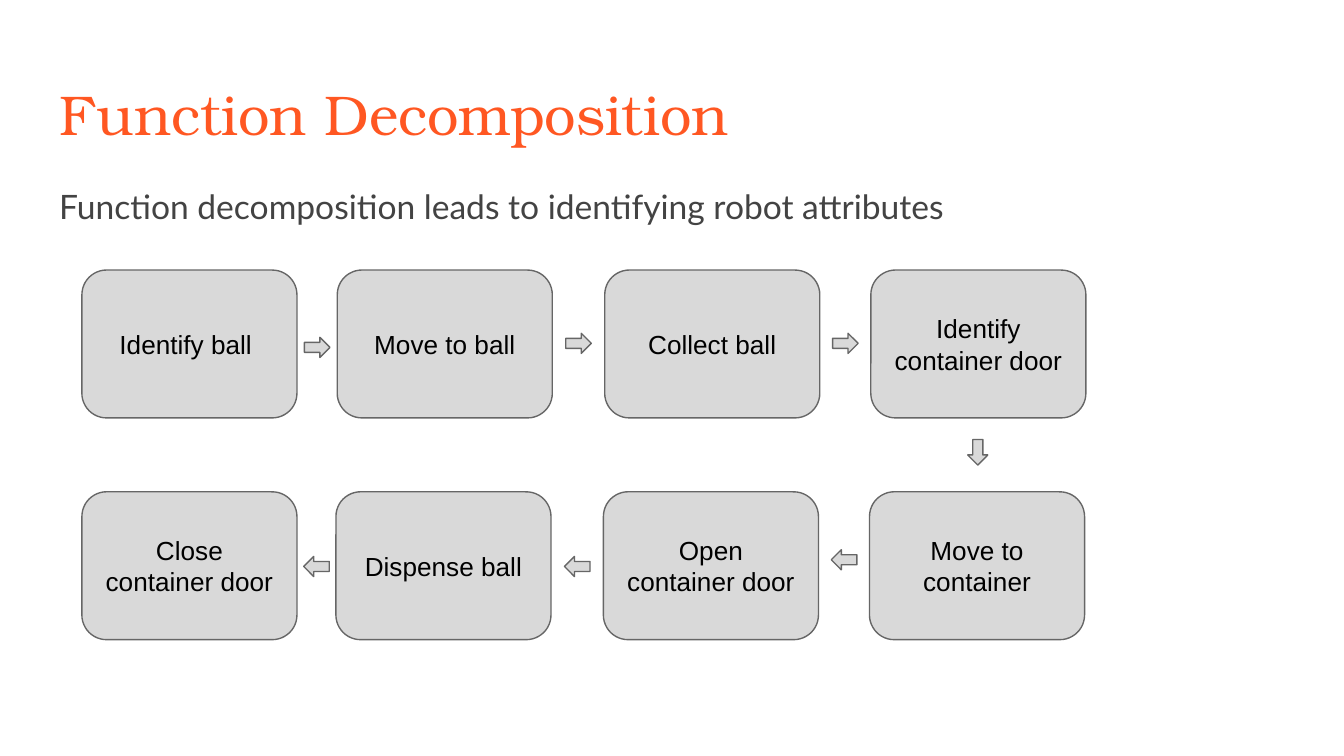
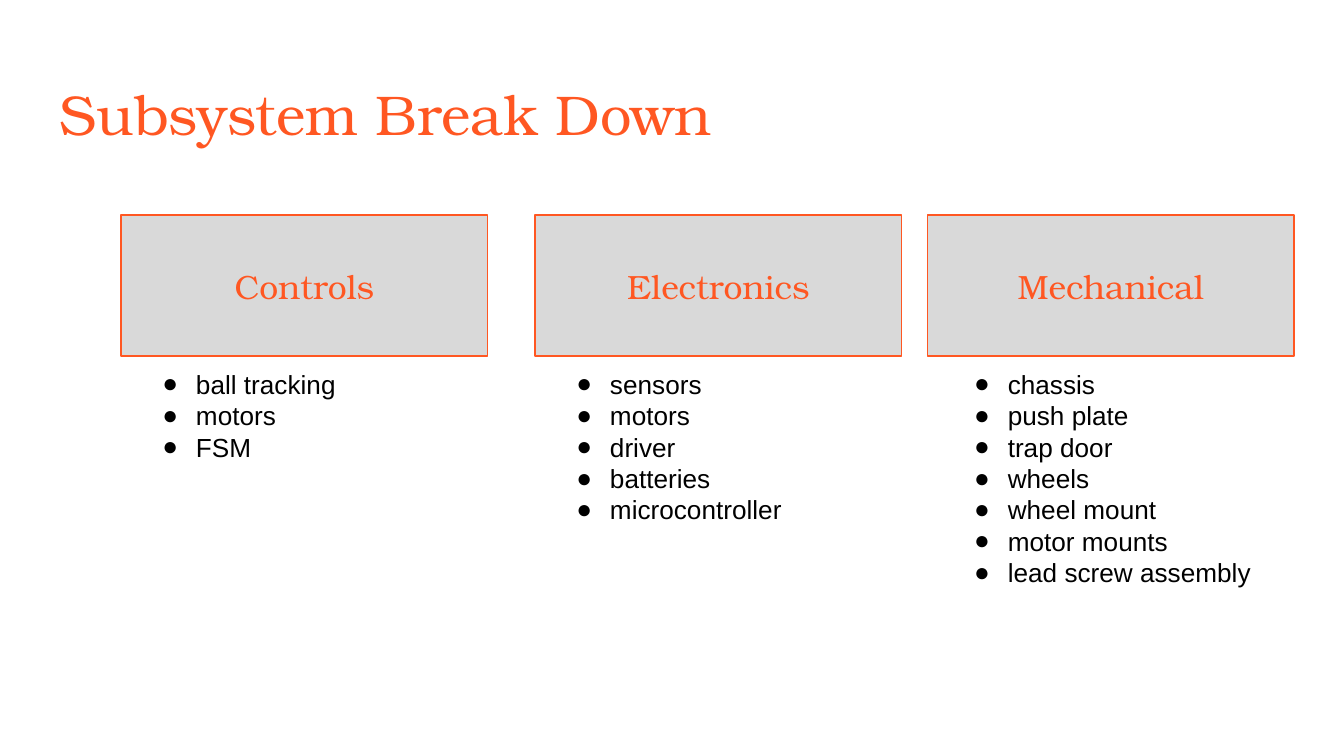
from lxml.etree import SubElement
from pptx import Presentation
from pptx.dml.color import RGBColor
from pptx.enum.shapes import MSO_SHAPE as Preset
from pptx.enum.text import MSO_ANCHOR as Anchor, MSO_AUTO_SIZE as AutoSize, PP_ALIGN as Align
from pptx.oxml.ns import qn
from pptx.util import Inches, Pt

ORANGE = RGBColor(0xFF, 0x57, 0x22)
TEXT_GRAY = RGBColor(0x43, 0x43, 0x43)
LINE_GRAY = RGBColor(0x66, 0x66, 0x66)
FILL_GRAY = RGBColor(0xD9, 0xD9, 0xD9)
BLACK = RGBColor(0x00, 0x00, 0x00)
SERIF, SANS, BODY = "TeX Gyre Bonum", "Arial", "Lato"

WIDTH = 10
HEIGHT = WIDTH * 9 / 16
MARGIN = 0.034 * WIDTH
CONTENT_WIDTH = WIDTH - 2 * MARGIN


def write_text(shape, lines, font=SANS, size=14, color=BLACK, align=Align.LEFT,
               anchor=Anchor.TOP, bullet=None, spacing=1.0, after=0):
    frame = shape.text_frame
    frame.word_wrap = True
    frame.auto_size = AutoSize.NONE
    frame.vertical_anchor = anchor
    frame.margin_left = frame.margin_right = Inches(0.1)
    frame.margin_top = frame.margin_bottom = Inches(0.1)
    frame.text = "\n".join(lines)
    for paragraph in frame.paragraphs:
        paragraph.alignment = align
        paragraph.line_spacing = spacing
        paragraph.space_before, paragraph.space_after = Pt(0), Pt(after)
        properties = paragraph._p.get_or_add_pPr()
        properties.set("marL", str(Inches(0.5 if bullet else 0)))
        properties.set("indent", str(Inches(-0.25 if bullet else 0)))
        if bullet:
            SubElement(properties, qn("a:buSzPts")).set("val", str(size * 100))
            SubElement(properties, qn("a:buFont")).set("typeface", font)
            SubElement(properties, qn("a:buChar")).set("char", bullet)
        else:
            SubElement(properties, qn("a:buNone"))
        for run in paragraph.runs:
            run.font.name, run.font.size = font, Pt(size)
            run.font.color.rgb = color


def add_box(slide, preset, left, top, width, height, line_color=LINE_GRAY):
    shape = slide.shapes.add_shape(
        preset, Inches(left), Inches(top), Inches(width), Inches(height))
    shape.shadow.inherit = False
    shape.fill.solid()
    shape.fill.fore_color.rgb = FILL_GRAY
    shape.line.color.rgb = line_color
    shape.line.width = Pt(0.75)
    return shape


presentation = Presentation()
presentation.slide_width, presentation.slide_height = Inches(WIDTH), Inches(HEIGHT)

# Slides with their shared title style
TITLE_AND_BODY, TITLE_ONLY = presentation.slide_layouts[1], presentation.slide_layouts[5]
slides = []
for layout, heading in [(TITLE_AND_BODY, "Function Decomposition"),
                        (TITLE_ONLY, "Subsystem Break Down")]:
    slide = presentation.slides.add_slide(layout)
    title = slide.shapes.title
    title.left, title.top = Inches(MARGIN), Inches(0.49)
    title.width, title.height = Inches(CONTENT_WIDTH), Inches(0.63)
    write_text(title, [heading], font=SERIF, size=30, color=ORANGE)
    slides.append(slide)
function_slide, subsystem_slide = slides

# Function decomposition: introduction
body = function_slide.placeholders[1]
body.left, body.top = Inches(MARGIN), Inches(1.24)
body.width, body.height = Inches(CONTENT_WIDTH), Inches(3.74)
write_text(body, ["Function decomposition leads to identifying robot attributes"],
           font=BODY, size=18, color=TEXT_GRAY, spacing=1.15, after=16)

# Function decomposition: steps run right on the upper row, back left on the lower
STEP_WIDTH, STEP_HEIGHT = 1.6, 1.1
ARROW_WIDTH, ARROW_HEIGHT = 0.19, 0.15
UPPER, LOWER = 2.01, 3.66
step_rows = [
    (UPPER, [0.61, 2.51, 4.5, 6.48], Preset.RIGHT_ARROW, [2.51, 2.48, 2.48],
     ["Identify ball ", "Move to ball", "Collect ball", "Identify container door"]),
    (LOWER, [0.61, 2.5, 4.49, 6.47], Preset.LEFT_ARROW, [4.14, 4.14, 4.09],
     ["Close container door", "Dispense ball", "Open container door", "Move to container"]),
]
for top, lefts, arrow, arrow_tops, steps in step_rows:
    for left, step in zip(lefts, steps):
        box = add_box(function_slide, Preset.ROUNDED_RECTANGLE,
                      left, top, STEP_WIDTH, STEP_HEIGHT)
        write_text(box, [step], align=Align.CENTER, anchor=Anchor.MIDDLE)
    # Each arrow is centred in the gap between two steps
    for left, following, arrow_top in zip(lefts, lefts[1:], arrow_tops):
        arrow_left = (left + STEP_WIDTH + following - ARROW_WIDTH) / 2
        add_box(function_slide, arrow, arrow_left, arrow_top, ARROW_WIDTH, ARROW_HEIGHT)

# Function decomposition: turn from the upper row to the lower row
turn = add_box(function_slide, Preset.RIGHT_ARROW, 7.18, 3.29, ARROW_WIDTH, ARROW_HEIGHT)
turn.rotation = 90

# Subsystems: a heading box above a bulleted list in each column
HEADING_TOP, HEADING_WIDTH, HEADING_HEIGHT = 1.6, 2.73, 1.05
LIST_TOP, LIST_WIDTH = 2.64, 2.81
subsystems = [
    ("Controls", 0.9, 0.86, 1.8, ["ball tracking", "motors", "FSM"]),
    ("Electronics", 3.98, 3.94, 1.8,
     ["sensors", "motors", "driver", "batteries", "microcontroller"]),
    ("Mechanical", 6.9, 6.9, 2.06,
     ["chassis", "push plate", "trap door", "wheels", "wheel mount",
      "motor mounts", "lead screw assembly"]),
]
for name, left, list_left, list_height, parts in subsystems:
    box = add_box(subsystem_slide, Preset.RECTANGLE, left, HEADING_TOP,
                  HEADING_WIDTH, HEADING_HEIGHT, line_color=ORANGE)
    write_text(box, [name], font=SERIF, size=18, color=ORANGE,
               align=Align.CENTER, anchor=Anchor.MIDDLE)
    part_list = subsystem_slide.shapes.add_textbox(
        Inches(list_left), Inches(LIST_TOP), Inches(LIST_WIDTH), Inches(list_height))
    write_text(part_list, parts, bullet="●")

presentation.save("out.pptx")
